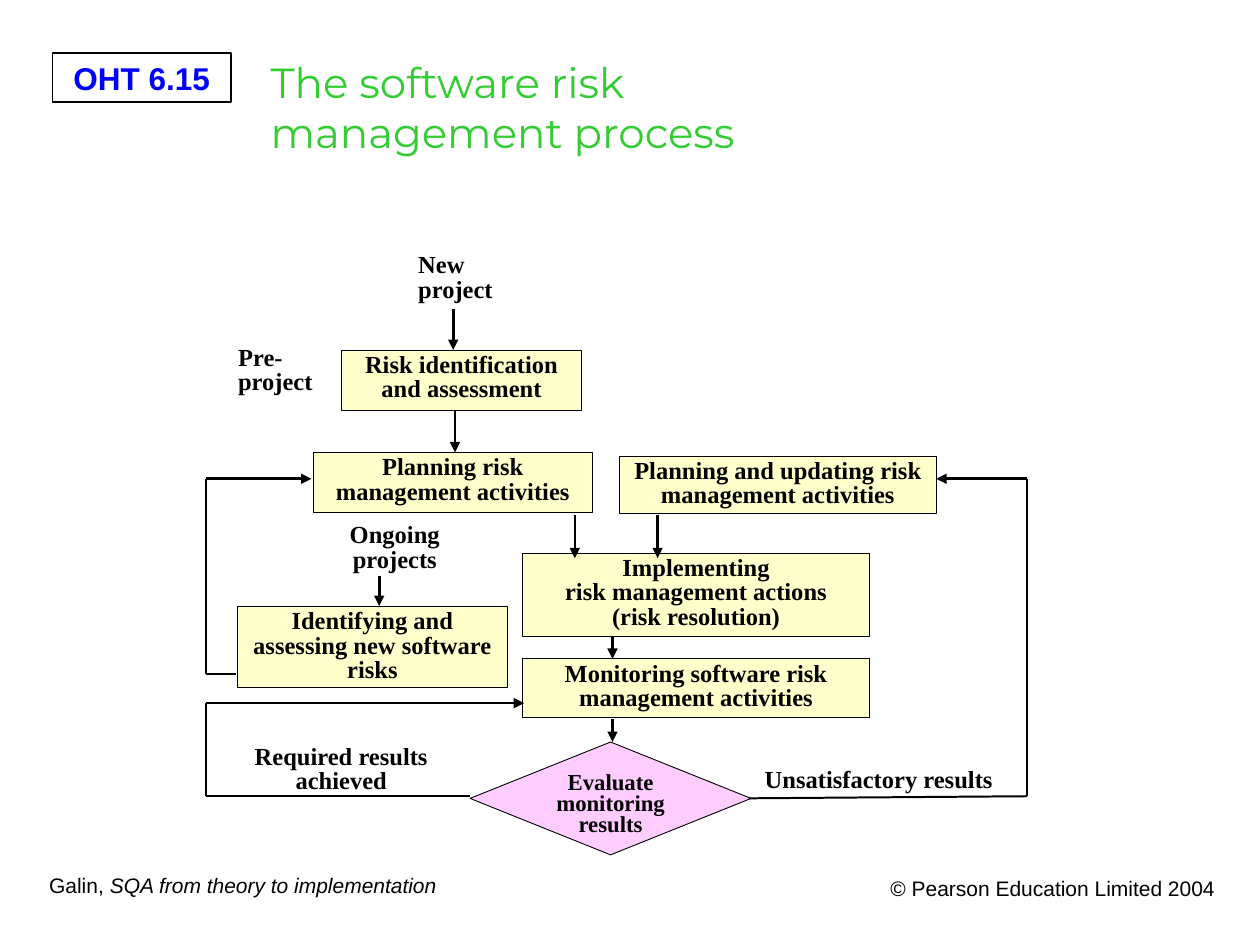
from itertools import pairwise

from lxml import etree
from pptx import Presentation
from pptx.dml.color import RGBColor
from pptx.enum.shapes import MSO_CONNECTOR, MSO_SHAPE
from pptx.enum.text import MSO_ANCHOR, PP_ALIGN
from pptx.oxml.ns import qn
from pptx.util import Pt

LEFT, MID, RIGHT = PP_ALIGN.LEFT, PP_ALIGN.CENTER, PP_ALIGN.RIGHT
TOP = MSO_ANCHOR.TOP
RECT, GEM = MSO_SHAPE.RECTANGLE, MSO_SHAPE.DIAMOND
WIRE = MSO_CONNECTOR.STRAIGHT
BLACK = RGBColor(0x00, 0x00, 0x00)
BLUE = RGBColor(0x00, 0x00, 0xFF)
GREEN = RGBColor(0x33, 0xCC, 0x33)
CREAM = RGBColor(0xFF, 0xFF, 0xCC)
PINK = RGBColor(0xFF, 0xCC, 0xFF)
SANS, SERIF, SHOW = "Arial", "Times New Roman", "Montserrat"


def write(shape, lines, size=14, font=SERIF, color=BLACK, bold=False,
          align=LEFT, pitch=None, pad=(7.2, 3.6), wrap=True):
    frame = shape.text_frame
    frame.word_wrap = wrap
    frame.vertical_anchor = TOP
    frame.margin_left = frame.margin_right = Pt(pad[0])
    frame.margin_top = frame.margin_bottom = Pt(pad[1])
    for i, line in enumerate(lines):
        para = frame.add_paragraph() if i else frame.paragraphs[0]
        para.alignment = align
        if pitch:
            para.line_spacing = Pt(pitch)
        for text, slant in ([(line, False)] if isinstance(line, str) else line):
            run = para.add_run()
            run.text = text
            run.font.size = Pt(size)
            run.font.name = font
            run.font.bold = bold
            run.font.italic = slant
            run.font.color.rgb = color


def label(slide, box, lines, **form):
    write(slide.shapes.add_textbox(*map(Pt, box)), lines, **form)


def block(slide, box, lines, kind=RECT, fill=None, width=0.5, **form):
    shape = slide.shapes.add_shape(kind, *map(Pt, box))
    shape.shadow.inherit = False
    if fill is None:
        shape.fill.background()
    else:
        shape.fill.solid()
        shape.fill.fore_color.rgb = fill
    shape.line.color.rgb = BLACK
    shape.line.width = Pt(width)
    write(shape, lines, align=MID, **form)


def link(slide, start, end, arrow):
    wire = slide.shapes.add_connector(WIRE, *map(Pt, (*start, *end)))
    wire.line.color.rgb = BLACK
    wire.line.width = Pt(1.5 if arrow else 1.13)
    if arrow:
        etree.SubElement(wire.line._get_or_add_ln(), qn("a:tailEnd"), type="triangle")
    etree.SubElement(wire._element.spPr, qn("a:effectLst"))


def header(slide, box):
    x, y, w, h = box
    block(slide, (x, y + 1.5, 102, 28), ["OHT 6.15"], width=0.75, size=18,
          font=SANS, color=BLUE, bold=True, wrap=False)
    label(slide, (x + 117.5, y, w - 117.5, h),
          ["The software risk", "management process"],
          size=24, font=SHOW, color=GREEN, wrap=False)


def footer(slide, box):
    x, y, w, h = box
    label(slide, (x, y, 236, h),
          [[("Galin, ", False), ("SQA from theory to implementation", True)]],
          size=12, font=SANS, wrap=False)
    label(slide, (x + w - 223, y + 1.5, 223, h),
          ["© Pearson Education Limited 2004"], size=12, font=SANS, align=RIGHT)


def flow(slide, box):
    left, top, wide, high = box
    form = dict(bold=True, pitch=14, pad=(0, 2.2))
    steps = [
        (77, 57, 137.5, 34.5, ["Risk identification", "and assessment"]),
        (61.3, 115.5, 159, 34.5, ["Planning risk", "management activities"]),
        (236.2, 117.6, 180.8, 33,
         ["Planning and updating risk", "management activities"]),
        (180.8, 173, 198, 47.5,
         ["Implementing", "risk management actions", "(risk resolution)"]),
        (180.8, 233.5, 198, 33.8,
         ["Monitoring software risk", "management activities"]),
        (17.4, 203.3, 154.8, 46.8,
         ["Identifying and", "assessing new software", "risks"]),
    ]
    for x, y, w, h, lines in steps:
        block(slide, (left + x, top + y, w, h), lines, fill=CREAM, **form)
    block(slide, (left + 150.6, top + 281, 160.6, high - 281),
          ["Evaluate", "monitoring", "results"], kind=GEM, fill=PINK,
          size=13, bold=True, pitch=12.2, pad=(0, 1.8))

    notes = [
        (121, 0, 60, LEFT, ["New", "project"]),
        (18.1, 52.8, 56, LEFT, ["Pre-", "project"]),
        (70.6, 154.4, 74, MID, ["Ongoing", "projects"]),
        (0, 281, 154, MID, ["Required results", "achieved"]),
        (319, 294, 140, LEFT, ["Unsatisfactory results"]),
    ]
    for x, y, w, align, lines in notes:
        label(slide, (left + x, top + y, w, 14 * len(lines) + 4), lines,
              align=align, **form)

    drops = [(141, 33.4, 57), (142, 91.5, 115.5), (210.5, 151.5, 176),
             (257.8, 151.5, 176), (98.7, 186, 203.3), (232, 220.5, 233.5),
             (232, 268, 281)]
    loops = [
        [(17, 242.2), (0, 242.2), (0, 130.6), (60, 130.6)],
        [(150.6, 312), (0, 312), (0, 258.8), (181.5, 258.8)],
        [(310, 313.2), (wide, 312), (wide, 130.6), (417, 130.6)],
    ]
    for path in [[(x, a), (x, b)] for x, a, b in drops] + loops:
        spots = [(left + x, top + y) for x, y in path]
        for start, end in pairwise(spots):
            link(slide, start, end, end == spots[-1])


def main():
    deck = Presentation()
    deck.slide_width, deck.slide_height = Pt(720), Pt(540)
    slide = deck.slides.add_slide(deck.slide_layouts[6])
    header(slide, (30, 28.8, 540, 102))
    flow(slide, (118, 143, 469, 345.5))
    footer(slide, (21, 495.3, 680.5, 22))
    deck.save("out.pptx")


if __name__ == "__main__":
    main()
